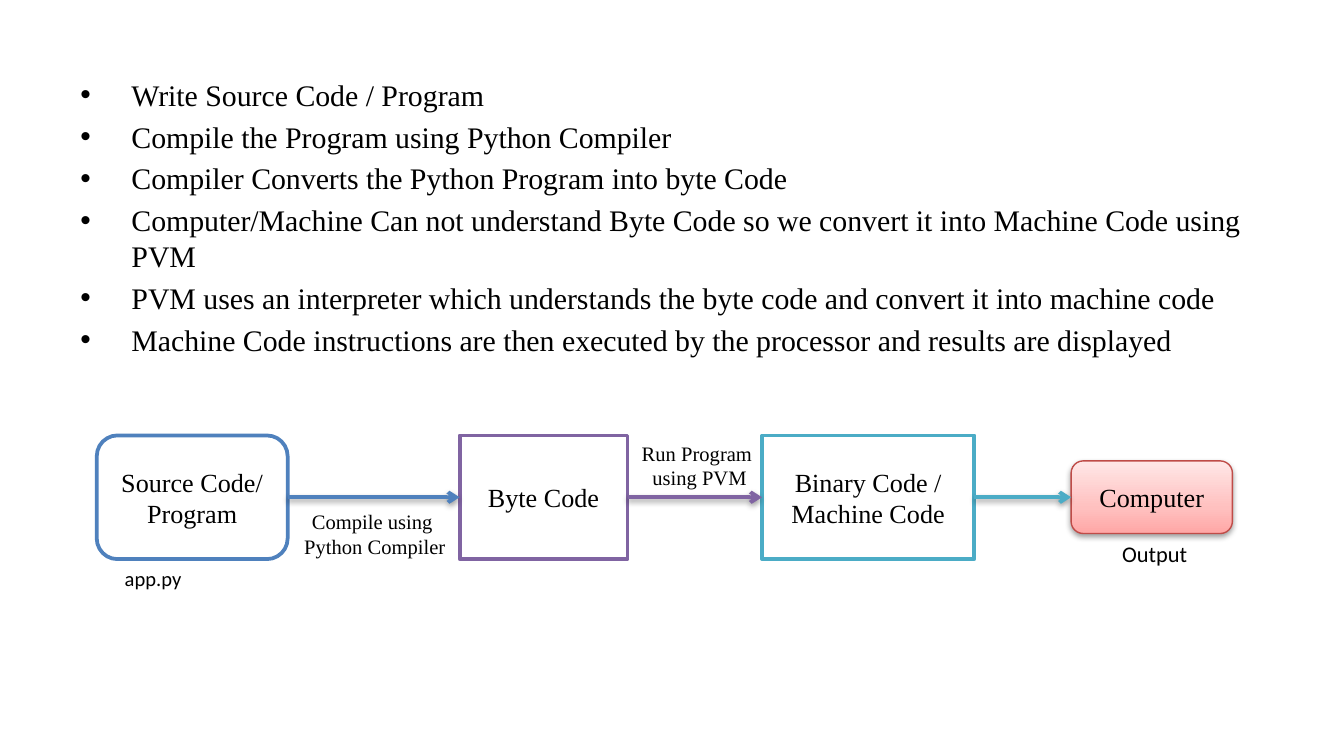
import pptx
import pptx.util
import pptx.oxml
import pptx.dml.color
import pptx.enum.shapes
import pptx.enum.text
from pptx.util import Inches

THEME = {
    "serif": "Times New Roman", "sans": "Calibri",
    "text": "000000", "paper": "FFFFFF",
    "source": "4F81BD", "byte": "8064A2", "binary": "4BACC6", "computer": "BF4C48",
    "glow": [(0, "FFA6A5"), (35, "FFC0BF"), (100, "FFE7E7")],
    "body": 16, "stage": 14, "label": 11, "output": 12,
    "border": 2, "thin": 0.75,
}

STEPS = [
    "Write Source Code / Program",
    "Compile the Program using Python Compiler",
    "Compiler Converts the Python Program into byte Code",
    "Computer/Machine Can not understand Byte Code so we convert it into Machine Code using PVM",
    "PVM uses an interpreter which understands the byte code and convert it into machine code",
    "Machine Code instructions are then executed by the processor and results are displayed",
]

STAGES = [
    ("Source Code/ Program", "source", "ROUNDED_RECTANGLE", 0.72, 1.42, 0.92),
    ("Byte Code", "byte", "RECTANGLE", 3.42, 1.25, 0.92),
    ("Binary Code / Machine Code", "binary", "RECTANGLE", 5.67, 1.58, 0.92),
    ("Computer", "computer", "ROUNDED_RECTANGLE", 7.97, 1.2, 0.54),
]
FLOW_Y = 3.7

LABELS = [
    (["app.py"], (0.83, 4.16, 0.63, 0.29), "sans", "label", "LEFT"),
    (["Compile using ", "Python Compiler"], (2.16, 3.74, 1.26, 0.47), "serif", "label", "CENTER"),
    (["Run Program ", "using PVM"], (4.67, 3.23, 1.07, 0.47), "serif", "label", "CENTER"),
    (["Output"], (8.25, 3.97, 0.69, 0.3), "sans", "output", "LEFT"),
]

A_NS = 'xmlns:a="http://schemas.openxmlformats.org/drawingml/2006/main"'
SHADOW = (f'<a:effectLst {A_NS}><a:outerShdw blurRad="40000" dist="20000" dir="5400000" '
          'rotWithShape="0"><a:srgbClr val="000000"><a:alpha val="38000"/></a:srgbClr>'
          '</a:outerShdw></a:effectLst>')


def color(key):
    return pptx.dml.color.RGBColor.from_string(THEME[key])


def write(frame, lines, font="serif", size="stage", align="CENTER", bullet=False, wrap=True):
    frame.word_wrap = wrap
    for index, line in enumerate(lines):
        paragraph = frame.add_paragraph() if index else frame.paragraphs[0]
        paragraph.alignment = pptx.enum.text.PP_ALIGN[align]
        run = paragraph.add_run()
        run.text = line
        run.font.name = THEME[font]
        run.font.size = pptx.util.Pt(THEME[size])
        run.font.color.rgb = color("text")
        if bullet:
            properties = paragraph._p.get_or_add_pPr()
            properties.set("marL", str(Inches(0.38)))
            properties.set("indent", str(Inches(-0.38)))
            for xml in (f'<a:spcBef {A_NS}><a:spcPct val="20000"/></a:spcBef>',
                        f'<a:buFont {A_NS} typeface="Arial"/>',
                        f'<a:buChar {A_NS} char="•"/>'):
                properties.append(pptx.oxml.parse_xml(xml))


def add_shadow(part):
    part._element.spPr.append(pptx.oxml.parse_xml(SHADOW))


def add_stage(slide, text, key, outline, left, width, height):
    stage = slide.shapes.add_shape(
        pptx.enum.shapes.MSO_SHAPE[outline], Inches(left), Inches(FLOW_Y - height / 2),
        Inches(width), Inches(height))
    final = key == "computer"
    stage.line.color.rgb = color(key)
    stage.line.width = pptx.util.Pt(THEME["thin" if final else "border"])
    if final:
        stops = "".join(f'<a:gs pos="{at * 1000}"><a:srgbClr val="{tint}"/></a:gs>'
                        for at, tint in THEME["glow"])
        stage.line._get_or_add_ln().addprevious(pptx.oxml.parse_xml(
            f'<a:gradFill {A_NS} rotWithShape="1"><a:gsLst>{stops}</a:gsLst>'
            '<a:lin ang="16200000" scaled="0"/></a:gradFill>'))
        add_shadow(stage)
    else:
        stage.fill.solid()
        stage.fill.fore_color.rgb = color("paper")
        stage.shadow.inherit = False
    stage.text_frame.vertical_anchor = pptx.enum.text.MSO_ANCHOR.MIDDLE
    write(stage.text_frame, [text])


def add_arrow(slide, key, start, end):
    arrow = slide.shapes.add_connector(
        pptx.enum.shapes.MSO_CONNECTOR.STRAIGHT,
        Inches(start), Inches(FLOW_Y), Inches(end), Inches(FLOW_Y))
    arrow.line.color.rgb = color(key)
    arrow.line.width = pptx.util.Pt(THEME["border"])
    arrow.line._get_or_add_ln().append(
        pptx.oxml.parse_xml(f'<a:tailEnd {A_NS} type="arrow"/>'))
    add_shadow(arrow)


def main():
    deck = pptx.Presentation()
    deck.slide_width = Inches(10)
    deck.slide_height = deck.slide_width * 9 // 16
    slide = deck.slides.add_slide(deck.slide_layouts[6])

    for stage in STAGES:
        add_stage(slide, *stage)
    for (_, key, _, left, width, _), following in zip(STAGES, STAGES[1:]):
        add_arrow(slide, key, left + width, following[3])
    for lines, place, font, size, align in LABELS:
        label = slide.shapes.add_textbox(*map(Inches, place))
        label.text_frame.auto_size = pptx.enum.text.MSO_AUTO_SIZE.SHAPE_TO_FIT_TEXT
        write(label.text_frame, lines, font, size, align, wrap=False)

    steps = slide.shapes.add_textbox(*map(Inches, (0.5, 0.52, 9, 2.55)))
    write(steps.text_frame, STEPS, size="body", align="LEFT", bullet=True)
    deck.save("out.pptx")


if __name__ == "__main__":
    main()
